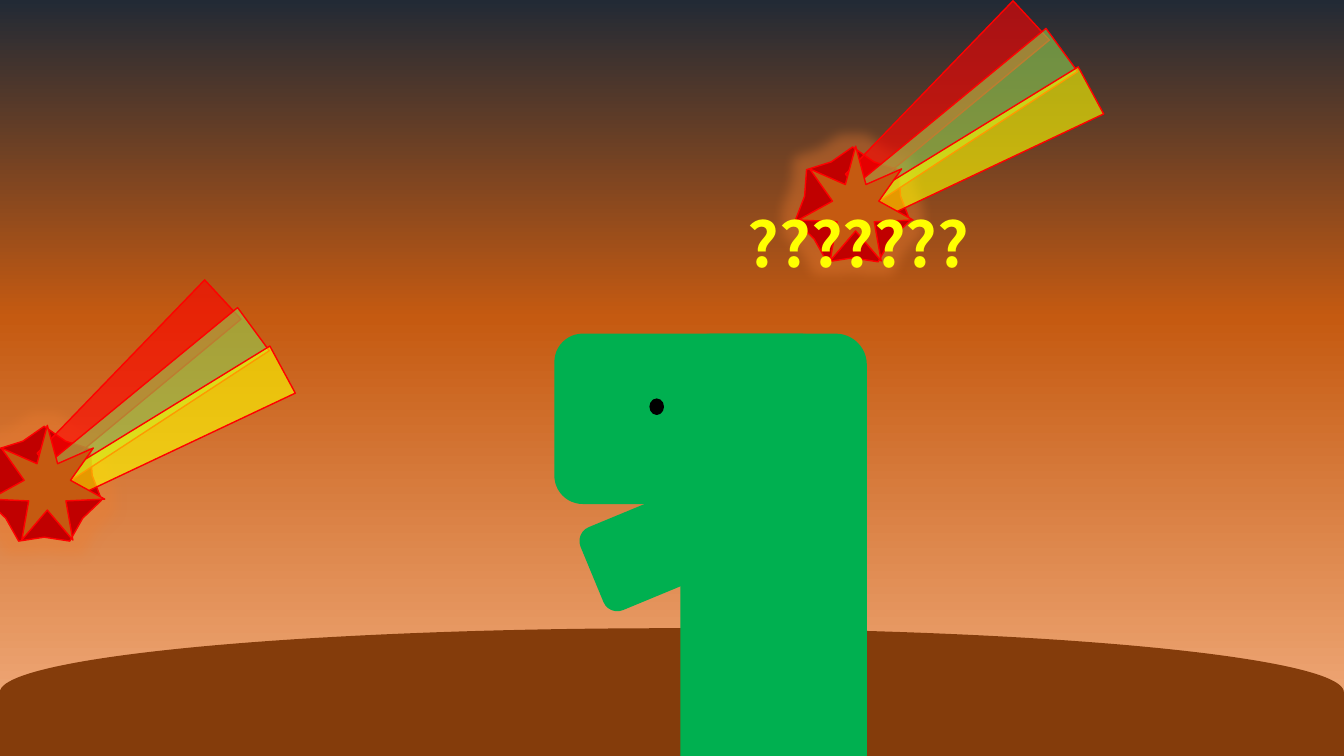
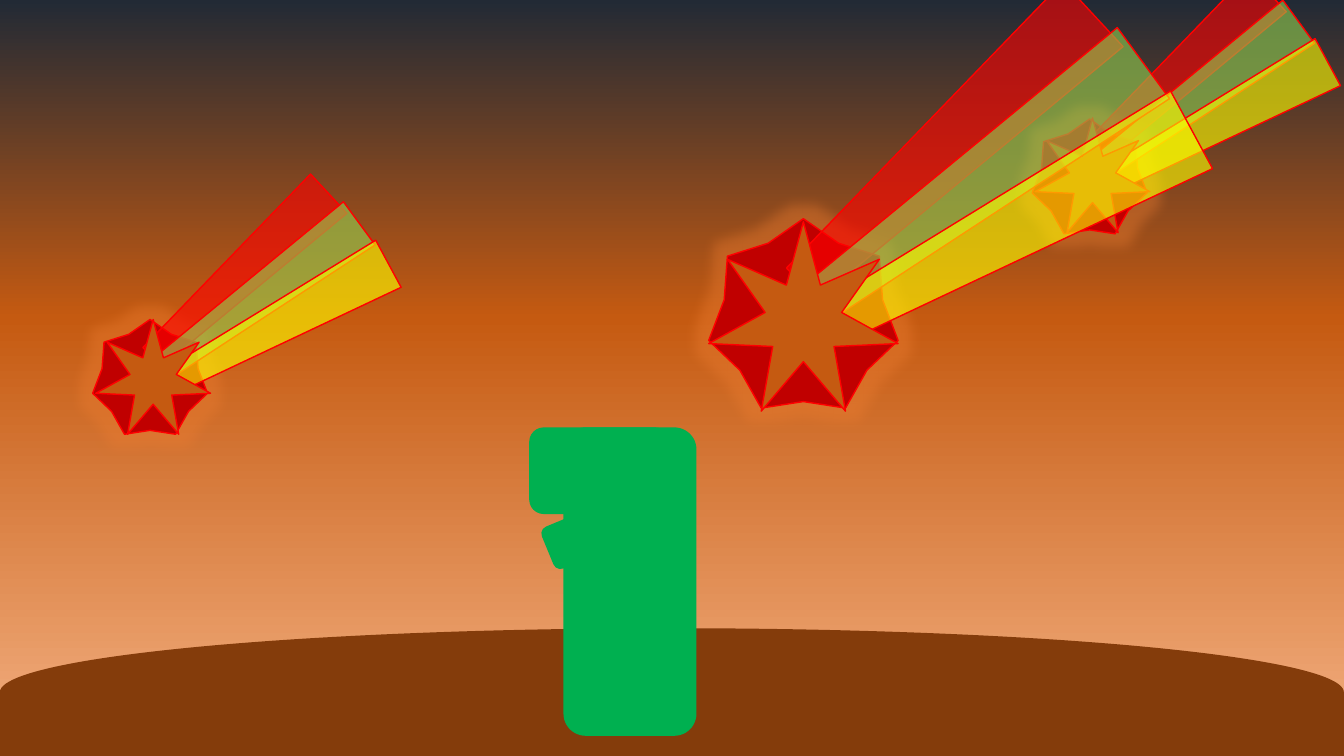
from lxml.etree import SubElement
from pptx import Presentation
from pptx.dml.color import RGBColor as Rgb
from pptx.enum.shapes import MSO_SHAPE as Kind
from pptx.oxml.ns import qn
from pptx.util import Pt


class Theme:
    """Colours, type and line sizes shared by the slides."""
    sky = [(0, "222A35"), (42, "C55A11"), (100, "F4B183")]
    soil = "843C0B"
    skin = "00B050"
    eye = "000000"
    crust = "C00000"
    fire = "C55A11"
    edge = "FF0000"
    glow = "ED7D31"
    shout = "FFFF00"
    font = "Noto Sans CJK KR"
    size = 44
    line = 1


WIDE, HIGH = 960, 540
ROCK = 82  # width of a comet at scale 1

# colour, offset from the star, size, turn
FLAMES = [
    ("FF0000", (84.2, -117.4), (38.2, 172), 227.2),
    ("92D050", (98.6, -104.4), (38.2, 175), 233.7),
    ("FFFF00", (113, -85.7), (38.2, 175), 241.6),
]

# Layers from back to front: part name, then its arguments
SCENES = [
    [
        ("crust", (-9.4, 304.5), 1),
        ("tail", (-7.2, 303.8), 1),
        ("crust", (568, 105), 1),
        ("tail", (570.2, 104.4), 1),
        ("block", (396, 238.3, 196.6, 121.7), 0),
        ("block", (415.4, 340.6, 196.6, 64.1), 337.5),
        ("block", (486, 238.3, 133.2, 339.8), 0),
        ("eye", (464.4, 285.1, 9.4, 10.8)),
        ("shout", "???????", (527, 143.3, 275, 60.5)),
    ],
    [
        ("block", (402.5, 305.3, 95, 220.3), 0),
        ("crust", (506.2, 156.2), 1.65),
        ("crust", (66.2, 228.2), 1),
        ("tail", (68.4, 228.2), 1),
        ("crust", (737.3, 85), 1),
        ("tail", (739.4, 84.2), 1),
        ("tail", (506.2, 158.4), 1.65),
        ("block", (378, 305.3, 100.1, 61.9), 0),
        ("block", (387.4, 357.8, 100.1, 32.4), 337.5),
    ],
]


def tint(parent, color, alpha=100):
    """Add a colour with its opacity in percent to an XML parent."""
    node = SubElement(parent, qn("a:srgbClr"), val=color)
    SubElement(node, qn("a:alpha"), val=str(alpha * 1000))


def draw(slide, kind, box, fill, line=None, turn=0, alpha=100, adj=None):
    """Draw a preset shape with a plain fill."""
    shape = slide.shapes.add_shape(kind, *map(Pt, box))
    shape.shadow.inherit = False
    shape.rotation = turn
    shape.fill.solid()
    shape.fill.fore_color.rgb = Rgb.from_string(fill)
    if alpha < 100:
        node = shape.fill._xPr.find(qn("a:solidFill"))
        node.clear()
        tint(node, fill, alpha)
    if line:
        shape.line.color.rgb = Rgb.from_string(line)
        shape.line.width = Pt(Theme.line)
    else:
        shape.line.fill.background()
    if adj is not None:
        shape.adjustments[0] = adj
    return shape


def ground(slide):
    """Draw the sky gradient and the hill."""
    sky = draw(slide, Kind.RECTANGLE, (0, 0, WIDE, HIGH), Theme.fire)
    sky.fill.gradient()
    sky.fill.gradient_angle = 270
    stops = sky._element.spPr.find(".//" + qn("a:gsLst"))
    stops.clear()
    for pos, color in Theme.sky:
        tint(SubElement(stops, qn("a:gs"), pos=str(pos * 1000)), color)
    draw(slide, Kind.FLOWCHART_DELAY, (434.2, 14.4, 91.4, WIDE),
         Theme.soil, turn=270)


def star(slide, spot, scale, fill, adj):
    """Draw a seven-point star."""
    side = ROCK * scale
    return draw(slide, Kind.STAR_7_POINT, (*spot, side, side), fill,
                line=Theme.edge, adj=adj)


def crust(slide, spot, scale):
    """Draw the glowing outer star of a comet."""
    rock = star(slide, spot, scale, Theme.crust, 0.418)
    effects = rock._element.spPr.find(qn("a:effectLst"))
    glow = SubElement(effects, qn("a:glow"), rad=str(Pt(18)))
    tint(glow, Theme.glow, 40)


def tail(slide, spot, scale):
    """Draw the flames of a comet and the inner star on them."""
    for color, shift, size, turn in FLAMES:
        place = [a + b * scale for a, b in zip(spot, shift)]
        draw(slide, Kind.TRAPEZOID, (*place, *(n * scale for n in size)),
             color, line=Theme.edge, turn=turn, alpha=60)
    star(slide, spot, scale, Theme.fire, 0.202)


def block(slide, box, turn):
    """Draw one rounded part of the dinosaur."""
    draw(slide, Kind.ROUNDED_RECTANGLE, box, Theme.skin, turn=turn)


def eye(slide, box):
    """Draw the eye."""
    draw(slide, Kind.OVAL, box, Theme.eye, line=Theme.eye)


def write(slide, text, box, size=Theme.size, color=Theme.shout, bold=False):
    """Write text in a box."""
    frame = slide.shapes.add_textbox(*map(Pt, box)).text_frame
    frame.word_wrap = True
    run = frame.paragraphs[0].add_run()
    run.text = text
    run.font.name = Theme.font
    run.font.size = Pt(size)
    run.font.bold = bold
    run.font.color.rgb = Rgb.from_string(color)
    props = run._r.get_or_add_rPr()
    SubElement(props, qn("a:ea"), typeface=Theme.font)


def shout(slide, text, box):
    """Write the cry of the dinosaur."""
    write(slide, text, box, bold=True)


PARTS = {"crust": crust, "tail": tail, "block": block, "eye": eye,
         "shout": shout}

deck = Presentation()
deck.slide_width, deck.slide_height = Pt(WIDE), Pt(HIGH)
for scene in SCENES:
    page = deck.slides.add_slide(deck.slide_layouts[6])
    ground(page)
    for part, *args in scene:
        PARTS[part](page, *args)
deck.save("out.pptx")
